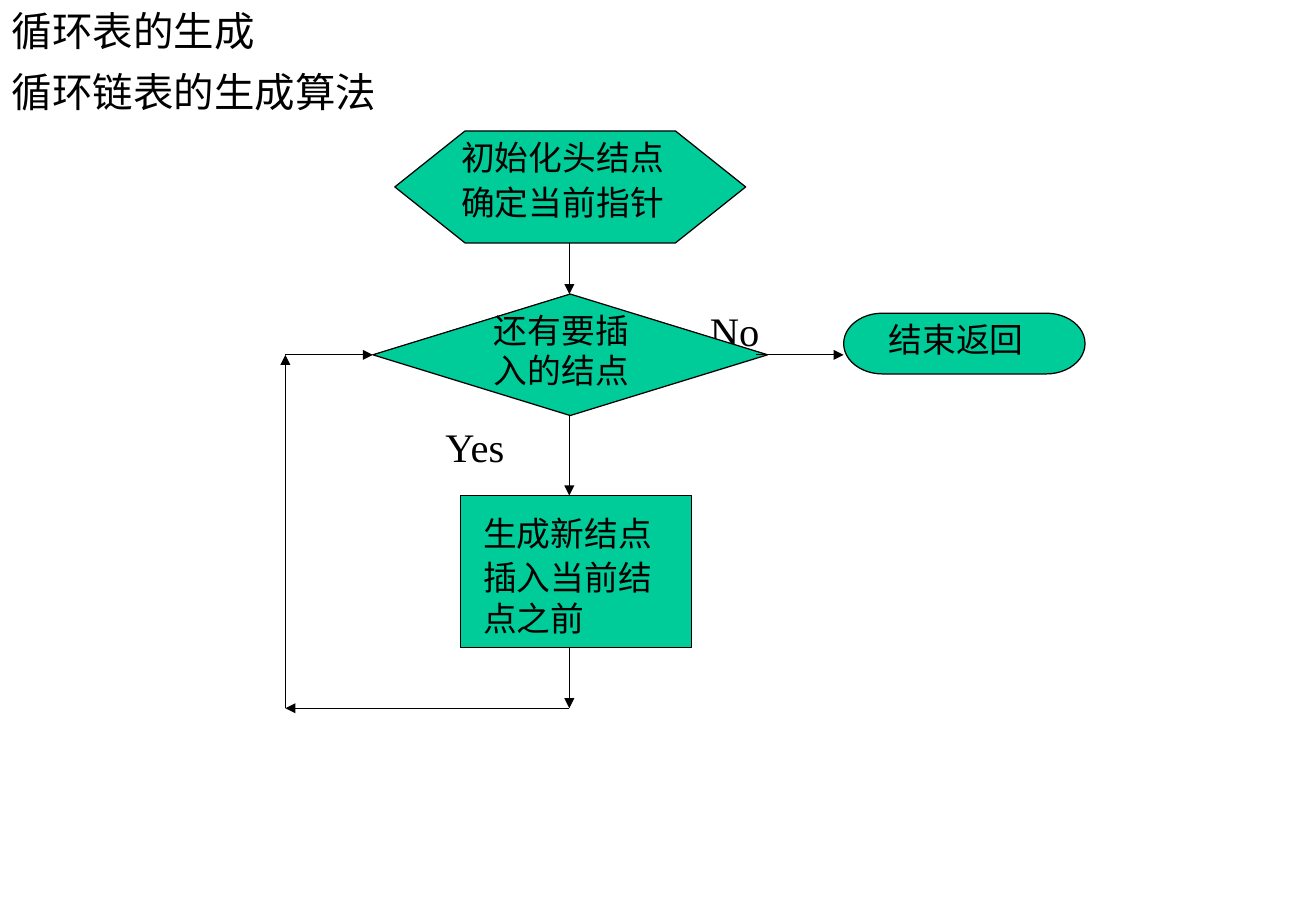
from lxml import etree
from pptx import Presentation
from pptx.dml.color import RGBColor
from pptx.enum.shapes import MSO_CONNECTOR, MSO_SHAPE
from pptx.enum.text import MSO_ANCHOR
from pptx.oxml.ns import qn
from pptx.util import Cm, Pt

STRAIGHT = MSO_CONNECTOR.STRAIGHT
DECISION = MSO_SHAPE.FLOWCHART_DECISION
PROCESS = MSO_SHAPE.FLOWCHART_PROCESS
PREPARATION = MSO_SHAPE.FLOWCHART_PREPARATION
TERMINATOR = MSO_SHAPE.FLOWCHART_TERMINATOR
TOP, MIDDLE = MSO_ANCHOR.TOP, MSO_ANCHOR.MIDDLE

COLORS = {"ink": "000000", "node": "00CC99"}
FONT = "Times New Roman"
INK = RGBColor.from_string(COLORS["ink"])
NODE = RGBColor.from_string(COLORS["node"])

prs = Presentation()
prs.slide_width, prs.slide_height = Cm(27.53), Cm(19.05)
s = prs.slides.add_slide(prs.slide_layouts[6])


def add_text(box, lines, size, anchor=TOP):
    tf = s.shapes.add_textbox(*map(Cm, box)).text_frame
    tf.word_wrap = True
    tf.vertical_anchor = anchor
    for i, line in enumerate(lines):
        p = tf.paragraphs[0] if i == 0 else tf.add_paragraph()
        if i:
            p.space_before = Pt(2.5)
        r = p.add_run()
        r.text = line
        r.font.name, r.font.size = FONT, Pt(size)
        r.font.color.rgb = INK


# Headings and branch labels
add_text((0, 0, 23.39, 1.27), ["循环表的生成"], 24, MIDDLE)
add_text((0, 1.27, 26.82, 1.27), ["循环链表的生成算法"], 24)
add_text((14.6, 6.27, 2, 1.2), ["No"], 24)
add_text((9.07, 8.71, 2.4, 1.2), ["Yes"], 24)

# Flowchart nodes: shape, its box, text box, lines
nodes = [
    (DECISION, (7.8, 6.15, 8.26, 2.54), (10.08, 6.35, 3.66, 1.96),
     ["还有要插入的结点"]),
    (PROCESS, (9.63, 10.36, 4.83, 3.18), (9.86, 10.59, 4.6, 2.9),
     ["生成新结点", "插入当前结点之前"]),
    (PREPARATION, (8.26, 2.74, 7.34, 2.34), (9.4, 2.74, 5.28, 2.03),
     ["初始化头结点", "确定当前指针"]),
    (TERMINATOR, (17.65, 6.55, 5.05, 1.27), (18.34, 6.55, 3.91, 1.12),
     ["结束返回"]),
]
for kind, box, text_box, lines in nodes:
    sp = s.shapes.add_shape(kind, *map(Cm, box))
    sp.shadow.inherit = False
    sp.fill.solid()
    sp.fill.fore_color.rgb = NODE
    sp.line.color.rgb = INK
    sp.line.width = Pt(0.75)
    add_text(text_box, lines, 20)

# Arrows: main axis, exit branch, loop back
axis_x, loop_x = 11.91, 5.97
test_y, loop_y = 7.42, 14.81
arrows = [
    (axis_x, 5.08, axis_x, 6.15),
    (15.82, test_y, 17.65, test_y),
    (axis_x, 8.69, axis_x, 10.36),
    (axis_x, 13.54, axis_x, loop_y),
    (axis_x, loop_y, loop_x, loop_y),
    (loop_x, loop_y, loop_x, test_y),
    (loop_x, test_y, 7.8, test_y),
]
for ends in arrows:
    arrow = s.shapes.add_connector(STRAIGHT, *map(Cm, ends))
    arrow.line.color.rgb = INK
    arrow.line.width = Pt(0.75)
    ln = arrow.line._get_or_add_ln()
    etree.SubElement(ln, qn("a:tailEnd"), type="triangle")
    etree.SubElement(ln.getparent(), qn("a:effectLst"))

prs.save("out.pptx")
